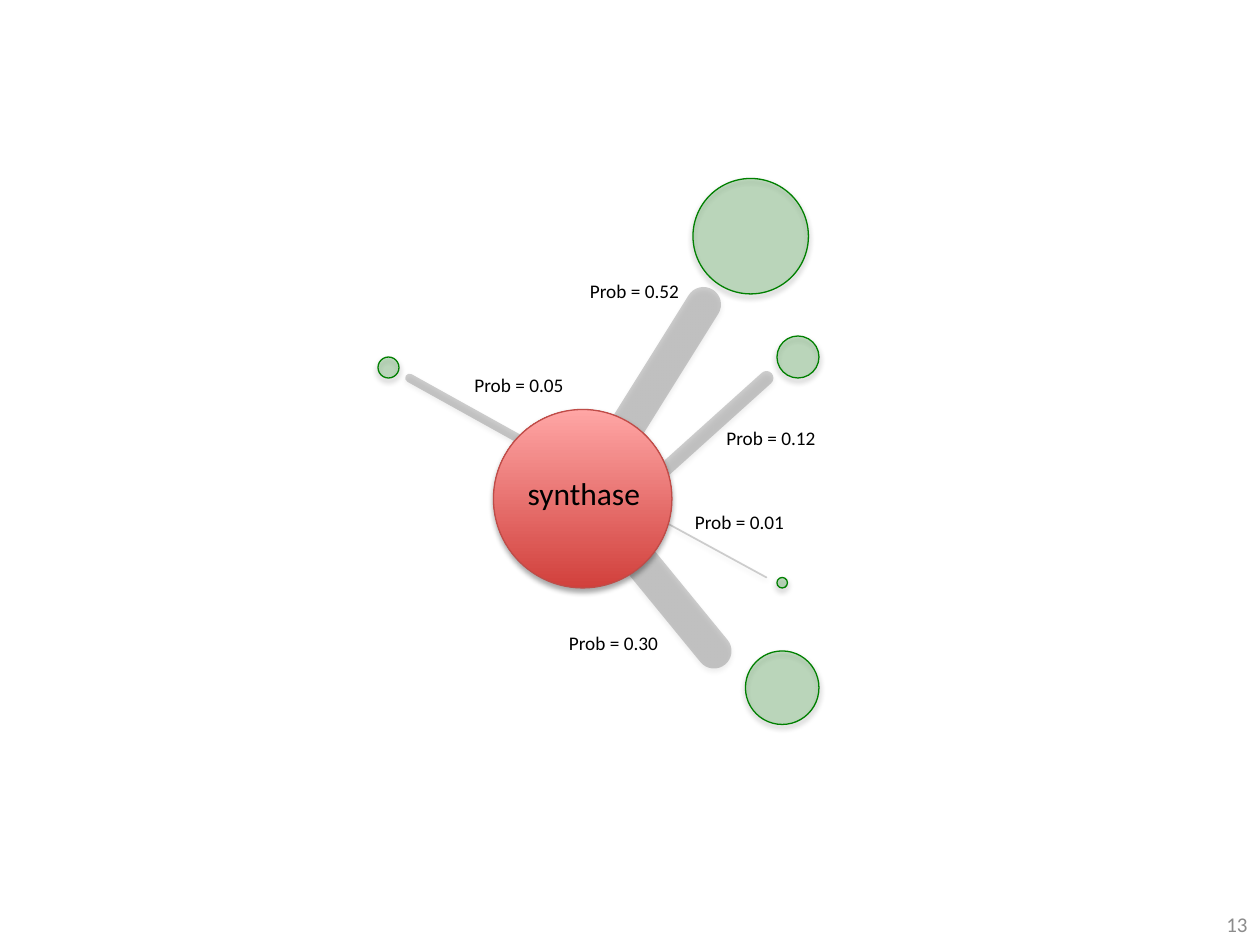
from lxml.etree import SubElement
from pptx import Presentation
from pptx.dml.color import RGBColor
from pptx.enum.shapes import MSO_CONNECTOR, MSO_SHAPE
from pptx.enum.text import MSO_ANCHOR, MSO_AUTO_SIZE, PP_ALIGN
from pptx.oxml.ns import qn
from pptx.util import Inches, Pt

BLACK = RGBColor(0x00, 0x00, 0x00)
GREEN = RGBColor(0x00, 0x80, 0x00)
GREY = RGBColor(0x8C, 0x8C, 0x8C)
RED = RGBColor(0xD1, 0x40, 0x3C)
PINK = RGBColor(0xFF, 0xA6, 0xA5)
RIM = RGBColor(0xBF, 0x4C, 0x48)

deck = Presentation()
deck.slide_width, deck.slide_height = Inches(10), Inches(7.5)
slide = deck.slides.add_slide(deck.slide_layouts[6])
cell = deck.slide_width / 120


def add_shadow(part, opacity, distance):
    properties = part._element.spPr
    effects = properties.find(qn("a:effectLst"))
    if effects is None:
        effects = SubElement(properties, qn("a:effectLst"))
    shadow = SubElement(effects, qn("a:outerShdw"), blurRad=str(Pt(3.1)),
                        dist=str(Pt(distance)), dir="5400000", rotWithShape="0")
    color = SubElement(shadow, qn("a:srgbClr"), val=str(BLACK))
    SubElement(color, qn("a:alpha"), val=str(opacity * 1000))


def add_label(words, box, size, color=BLACK, align=PP_ALIGN.LEFT):
    label = slide.shapes.add_textbox(*[round(v * cell) for v in box])
    frame = label.text_frame
    frame.word_wrap = False
    frame.auto_size = MSO_AUTO_SIZE.SHAPE_TO_FIT_TEXT
    paragraph = frame.paragraphs[0]
    paragraph.alignment = align
    run = paragraph.add_run()
    run.text = words
    run.font.name = "Calibri"
    run.font.size = Pt(size)
    run.font.color.rgb = color
    return frame


page_number = add_label("13", (107.6, 86, 12.4, 4), 12, GREY, PP_ALIGN.RIGHT)
page_number.word_wrap = True
page_number.auto_size = MSO_AUTO_SIZE.NONE
page_number.vertical_anchor = MSO_ANCHOR.MIDDLE

for column, row, diameter in [(74, 32, 4), (36, 34, 2), (66, 17, 11),
                              (71, 62, 7), (74, 55, 1)]:
    product = slide.shapes.add_shape(
        MSO_SHAPE.ROUNDED_RECTANGLE,
        *[round(v * cell) for v in (column, row, diameter, diameter)])
    product.adjustments[0] = 0.5
    product.fill.solid()
    product.fill.fore_color.rgb = GREEN
    tint = product._element.spPr.find(qn("a:solidFill"))[0]
    SubElement(tint, qn("a:alpha"), val="21000")
    product.line.color.rgb = GREEN
    product.line.width = Pt(0.75)
    product.shadow.inherit = False
    add_shadow(product, 35, 1.8)

for ends, weight in [((59.5, 41, 67, 29), 20), ((63, 45, 73, 36), 8),
                     ((62, 49, 73, 55), 1), ((59, 51, 68, 62), 20),
                     ((53.4, 44, 39, 36), 5)]:
    branch = slide.shapes.add_connector(
        MSO_CONNECTOR.STRAIGHT, *[round(v * cell) for v in ends])
    branch.line.color.rgb = BLACK
    branch.line.width = Pt(weight)
    stroke = branch.line._get_or_add_ln()
    stroke.set("cap", "rnd")
    SubElement(stroke.find(qn("a:solidFill"))[0], qn("a:alpha"), val="19000")
    add_shadow(branch, 38, 1.6)

for probability, column, row in [("0.52", 55, 26), ("0.30", 53, 59.5),
                                 ("0.12", 68, 40), ("0.05", 44, 35),
                                 ("0.01", 65, 48)]:
    add_label(f"Prob = {probability}", (column, row, 11, 3.5), 11)

synthase = slide.shapes.add_shape(
    MSO_SHAPE.OVAL, *[round(v * cell) for v in (47, 39, 17, 17)])
synthase.fill.gradient()
synthase.fill.gradient_angle = 90
for stop, color in zip(synthase.fill.gradient_stops, (RED, PINK)):
    stop.color.rgb = color
synthase.line.color.rgb = RIM
synthase.line.width = Pt(0.75)
synthase.shadow.inherit = False
add_shadow(synthase, 35, 1.8)
add_label("synthase", (49, 44.6, 13.2, 4.8), 18, align=PP_ALIGN.CENTER)

deck.save("out.pptx")
